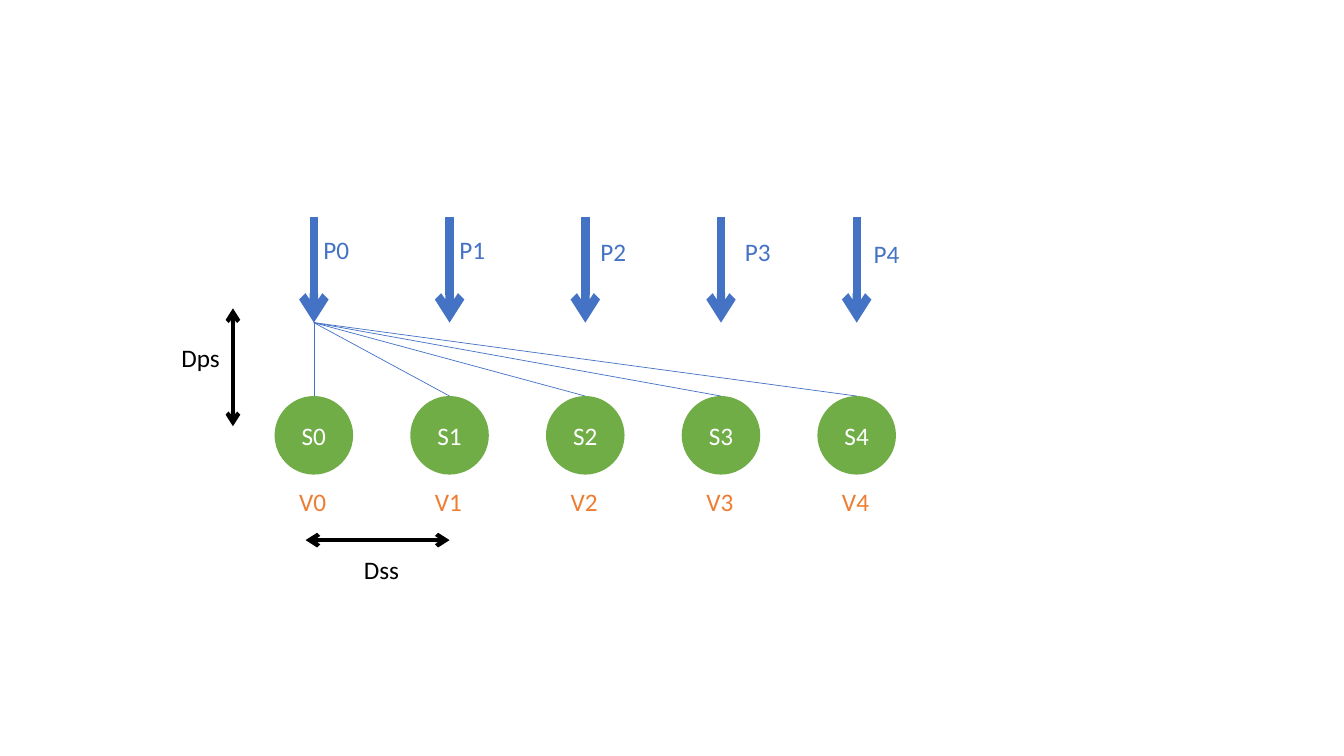
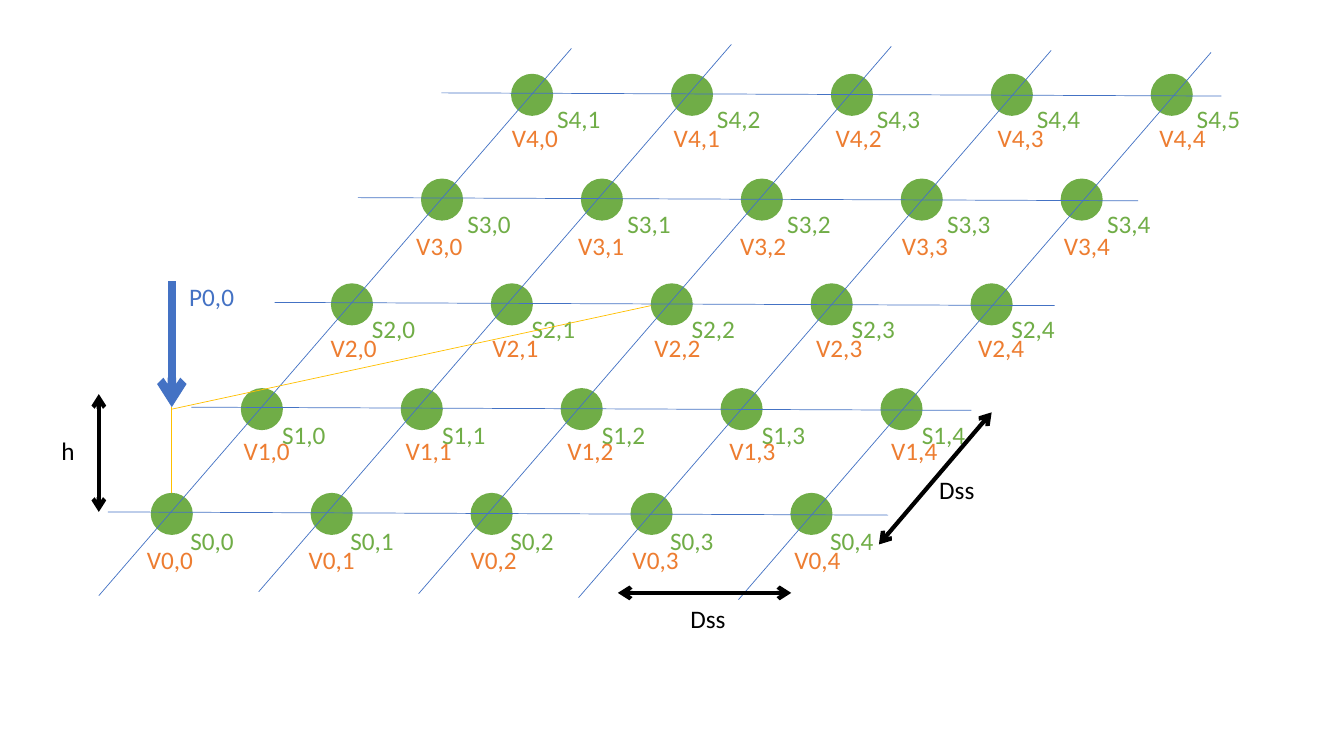
"""Draw a row and a grid of sensors with their sources and spacings."""
import dataclasses
import typing

import lxml.etree
import pptx
import pptx.dml.color
import pptx.enum.shapes
import pptx.enum.text
import pptx.oxml.ns
import pptx.slide
import pptx.util

Cm = pptx.util.Cm
qn = pptx.oxml.ns.qn


@dataclasses.dataclass(frozen=True)
class Theme:
    """Hold the colours, font, type size and line weights."""
    blue: str = "4472C4"
    green: str = "70AD47"
    orange: str = "ED7D31"
    gold: str = "FFC000"
    black: str = "000000"
    white: str = "FFFFFF"
    font: str = "Calibri"
    size: float = 18
    thin: float = 0.5
    bold: float = 3
    heavy: float = 6


class Point(typing.NamedTuple):
    """Hold a place in centimetres."""
    x: float
    y: float

    def move(self, dx: float, dy: float = 0) -> "Point":
        """Return the place shifted by dx and dy."""
        return Point(self.x + dx, self.y + dy)


@dataclasses.dataclass(frozen=True)
class Dot:
    """Describe a sensor by its centre and width."""
    mid: Point
    width: float
    text: str = ""


@dataclasses.dataclass(frozen=True)
class Label:
    """Describe a line of text by its top left corner."""
    text: str
    at: Point
    width: float
    color: str


@dataclasses.dataclass(frozen=True)
class Line:
    """Describe a line and its arrowheads."""
    start: Point
    end: Point
    color: str
    weight: float
    heads: tuple[str, ...] = ()


class Row(typing.NamedTuple):
    """Hold the label corners of one grid row."""
    sensor: Point
    value: Point
    first: int = 0


THEME = Theme()
COUNT = 5
HIGH = 1.02
SHORT, MID, LONG = 1.24, 1.55, 1.7


def tint(text: str) -> pptx.dml.color.RGBColor:
    """Turn a hex text into a colour."""
    return pptx.dml.color.RGBColor.from_string(text)


def write(frame: pptx.text.text.TextFrame, text: str, color: str) -> None:
    """Set the text of a frame and style its run."""
    frame.text = text
    for run in frame.paragraphs[0].runs:
        run.font.name = THEME.font
        run.font.size = pptx.util.Pt(THEME.size)
        run.font.color.rgb = tint(color)


def draw_dot(slide: pptx.slide.Slide, dot: Dot) -> None:
    """Draw one sensor."""
    half = dot.width / 2
    shape = slide.shapes.add_shape(
        pptx.enum.shapes.MSO_SHAPE.OVAL, Cm(dot.mid.x - half),
        Cm(dot.mid.y - half), Cm(dot.width), Cm(dot.width))
    shape.shadow.inherit = False
    shape.fill.solid()
    shape.fill.fore_color.rgb = tint(THEME.green)
    shape.line.fill.background()
    if dot.text:
        frame = shape.text_frame
        write(frame, dot.text, THEME.white)
        frame.vertical_anchor = pptx.enum.text.MSO_ANCHOR.MIDDLE
        frame.paragraphs[0].alignment = pptx.enum.text.PP_ALIGN.CENTER


def draw_label(slide: pptx.slide.Slide, label: Label) -> None:
    """Draw one label."""
    box = slide.shapes.add_textbox(
        Cm(label.at.x), Cm(label.at.y), Cm(label.width), Cm(HIGH))
    frame = box.text_frame
    frame.word_wrap = False
    frame.auto_size = pptx.enum.text.MSO_AUTO_SIZE.SHAPE_TO_FIT_TEXT
    write(frame, label.text, label.color)


def draw_line(slide: pptx.slide.Slide, line: Line) -> None:
    """Draw one line with its arrowheads."""
    link = slide.shapes.add_connector(
        pptx.enum.shapes.MSO_CONNECTOR.STRAIGHT, Cm(line.start.x),
        Cm(line.start.y), Cm(line.end.x), Cm(line.end.y))
    link.line.color.rgb = tint(line.color)
    link.line.width = pptx.util.Pt(line.weight)
    props = link.element.find(qn("p:spPr"))
    stroke = props.find(qn("a:ln"))
    for head in line.heads:
        lxml.etree.SubElement(stroke, qn(head), type="arrow")
    lxml.etree.SubElement(props, qn("a:effectLst"))


def draw_source(slide: pptx.slide.Slide, tip: Point, high: float,
                label: Label) -> None:
    """Draw a thick arrow down to its tip, with its label."""
    draw_line(slide, Line(tip.move(0, -high), tip, THEME.blue,
                          THEME.heavy, ("a:tailEnd",)))
    draw_label(slide, label)


def draw_span(slide: pptx.slide.Slide, start: Point, end: Point,
              text: str, at: Point, width: float = MID) -> None:
    """Draw a two-headed measure with its label."""
    draw_line(slide, Line(start, end, THEME.black, THEME.bold,
                          ("a:headEnd", "a:tailEnd")))
    draw_label(slide, Label(text, at, width, THEME.black))


def build_row(slide: pptx.slide.Slide) -> None:
    """Build the slide with one row of sensors."""
    pitch, width = 3.42, 1.98
    first, tip = Point(7.91, 10.97), Point(7.91, 8.13)
    names = (Point(7.9, 5.77), Point(11.33, 5.77), Point(14.88, 5.84),
             Point(18.52, 5.84), Point(21.77, 5.87))
    for i, name in enumerate(names):
        step = i * pitch
        mid = first.move(step)
        draw_dot(slide, Dot(mid, width, f"S{i}"))
        draw_source(slide, tip.move(step), 2.67,
                    Label(f"P{i}", name, SHORT, THEME.blue))
        draw_line(slide, Line(tip, mid.move(0, -width / 2),
                              THEME.blue, THEME.thin))
        draw_label(slide, Label(f"V{i}", Point(7.29 + step, 12.14),
                                SHORT, THEME.orange))
    draw_span(slide, Point(5.87, 7.77), Point(5.87, 10.74),
              "Dps", Point(4.32, 8.51))
    draw_span(slide, Point(7.7, 13.61), Point(11.33, 13.61),
              "Dss", Point(8.92, 13.84))


def build_grid(slide: pptx.slide.Slide) -> None:
    """Build the slide with a grid of sensors."""
    pitch, gap, width = 4.03, 4.08, 1.06
    first = Point(4.33, 12.95)
    rows = (Row(Point(4.55, 13.11), Point(3.45, 13.59)),
            Row(Point(6.86, 10.44), Point(5.89, 10.85)),
            Row(Point(9.12, 7.77), Point(8.08, 8.26)),
            Row(Point(11.53, 5.13), Point(10.24, 5.69)),
            Row(Point(13.79, 2.49), Point(12.65, 2.97), 1))
    feet = (15.01, 14.91, 14.96, 15.06, 15.11)
    for i in range(COUNT):
        for j in range(COUNT):
            mid = first.move(2.27 * i + pitch * j, -2.64 * i)
            draw_dot(slide, Dot(mid, width))
    for i, foot in enumerate(feet):
        low = Point(2.49 + pitch * i, foot)
        left = Point(2.72 + 2.1 * i, 12.9 - 2.64 * i)
        for start, end in ((low, low.move(11.91, -13.79)),
                           (left, left.move(19.66, 0.08))):
            draw_line(slide, Line(start, end, THEME.blue, THEME.thin))
    for i, row in enumerate(rows):
        for j in range(COUNT):
            draw_label(slide, Label(f"S{i},{j + row.first}",
                                    row.sensor.move(pitch * j),
                                    LONG, THEME.green))
            draw_label(slide, Label(f"V{i},{j}", row.value.move(gap * j),
                                    LONG, THEME.orange))
    tip = Point(first.x, 10.26)
    draw_source(slide, tip, 3.17,
                Label("P0,0", Point(4.52, 6.96), LONG, THEME.blue))
    for start, end in ((tip, first.move(0, -width / 2)),
                       (tip.move(0, 0.05), Point(16.41, 7.7))):
        draw_line(slide, Line(start, end, THEME.gold, THEME.thin))
    draw_span(slide, Point(2.49, 9.93), Point(2.49, 12.9),
              "h", Point(1.3, 10.85), HIGH)
    draw_span(slide, Point(15.57, 14.94), Point(19.94, 14.94),
              "Dss", Point(17.15, 15.09))
    draw_span(slide, Point(22.15, 13.72), Point(24.99, 10.39),
              "Dss", Point(23.42, 11.84))


def main() -> None:
    """Build and save the deck."""
    deck = pptx.Presentation()
    deck.slide_width, deck.slide_height = Cm(33.87), Cm(19.05)
    for build in (build_row, build_grid):
        build(deck.slides.add_slide(deck.slide_layouts[6]))
    deck.save("out.pptx")


main()
